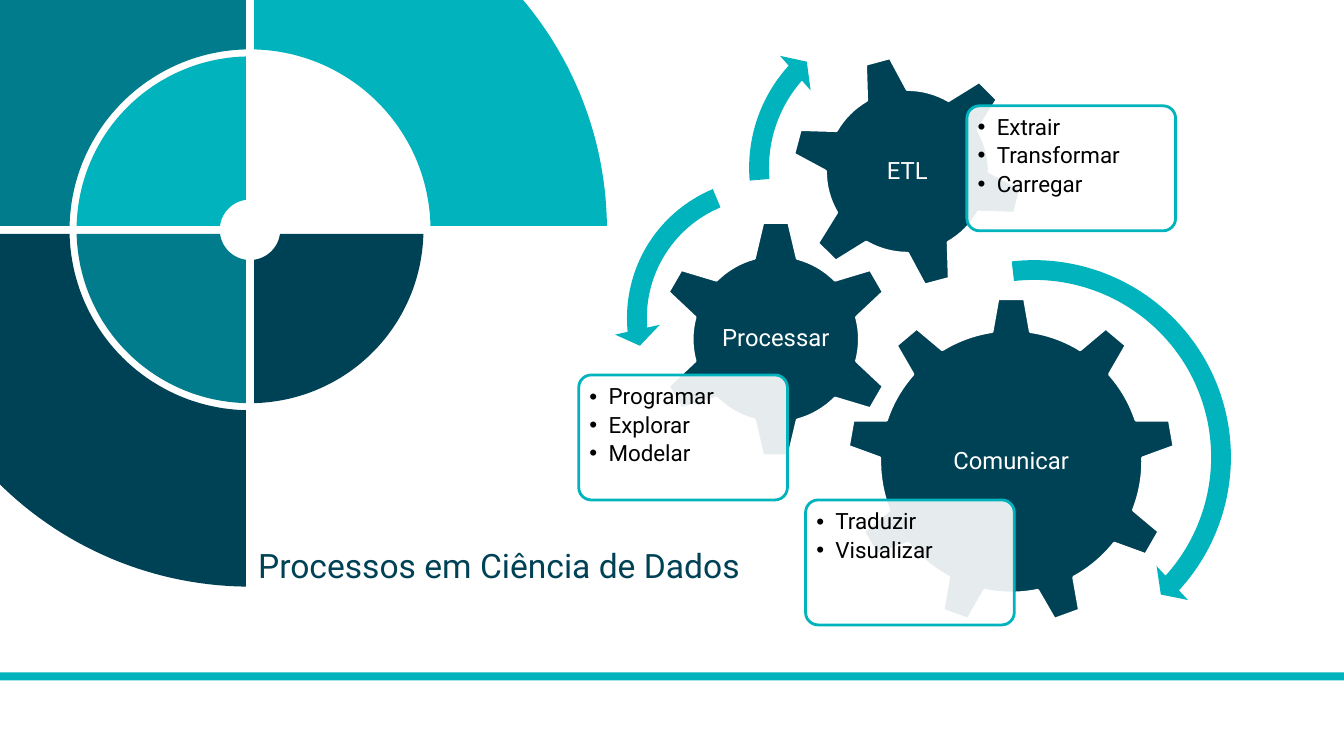
import math
from dataclasses import dataclass

import pptx
import pptx.dml.color
import pptx.enum.shapes
import pptx.enum.text
import pptx.oxml.ns
import pptx.util
from lxml import etree

Inches = pptx.util.Inches
Pt = pptx.util.Pt
RGBColor = pptx.dml.color.RGBColor
ShapeKind = pptx.enum.shapes.MSO_SHAPE
Anchor = pptx.enum.text.MSO_ANCHOR
Align = pptx.enum.text.PP_ALIGN
qn = pptx.oxml.ns.qn


@dataclass(frozen=True)
class Theme:
    navy: RGBColor = RGBColor(0x00, 0x42, 0x55)
    teal: RGBColor = RGBColor(0x00, 0x7C, 0x8C)
    aqua: RGBColor = RGBColor(0x00, 0xB3, 0xBD)
    white: RGBColor = RGBColor(0xFF, 0xFF, 0xFF)
    black: RGBColor = RGBColor(0x00, 0x00, 0x00)
    font: str = "Roboto"
    title_size: float = 24
    gear_size: float = 17
    card_size: float = 16
    outline: float = 2


THEME = Theme()


@dataclass(frozen=True)
class RingQuarter:
    """A quarter ring; right and down are +1 or -1 from the centre."""
    right: int
    down: int
    inner: float
    outer: float
    color: RGBColor


@dataclass(frozen=True)
class Stage:
    name: str
    kind: ShapeKind
    left: float
    top: float
    size: float
    rotation: float
    card_left: float
    card_top: float
    steps: tuple[str, ...]


@dataclass(frozen=True)
class CurvedArrow:
    """Thickness and head are percentages of the size, the rest degrees."""
    kind: ShapeKind
    left: float
    top: float
    size: float
    thickness: float
    head_sweep: float
    end: float
    start: float
    head: float


CENTER_X, CENTER_Y, HALF_GAP = 2.48, 2.28, 0.04
HUB, DISC, RING, RIM = 0.3, 1.72, 1.79, 3.54
CARD_WIDTH, CARD_HEIGHT = 2.07, 1.24
LABEL_WIDTH, LABEL_HEIGHT = 1.6, 0.5

QUARTERS = (
    RingQuarter(-1, 1, RING, RIM, THEME.navy),
    RingQuarter(-1, -1, RING, RIM, THEME.teal),
    RingQuarter(1, -1, RING, RIM, THEME.aqua),
    RingQuarter(-1, 1, HUB, DISC, THEME.teal),
    RingQuarter(1, 1, HUB, DISC, THEME.navy),
    RingQuarter(-1, -1, HUB, DISC, THEME.aqua),
)
STAGES = (
    Stage("Comunicar", ShapeKind.GEAR_9, 8.4, 2.95, 3.26, 0, 7.99, 4.96,
          ("Traduzir", "Visualizar")),
    Stage("Processar", ShapeKind.GEAR_6, 6.51, 2.18, 2.37, 0, 5.74, 3.72,
          ("Programar", "Explorar", "Modelar")),
    Stage("ETL", ShapeKind.GEAR_6, 7.84, 0.54, 2.32, 345, 9.59, 1.05,
          ("Extrair", "Transformar", "Carregar")),
)
ARROWS = (
    CurvedArrow(ShapeKind.CIRCULAR_ARROW, 8.17, 2.45, 4.17, 4.7, 4.98, 42.32, 263.54, 5.5),
    CurvedArrow(ShapeKind.LEFT_CIRCULAR_ARROW, 6.09, 1.64, 3.03, 6.5, 7.17, 174.82, 247.3, 7.5),
    CurvedArrow(ShapeKind.CIRCULAR_ARROW, 7.3, 0.03, 3.27, 6, 6.57, 221.9, 175.14, 7),
)


def paint(shape, fill: RGBColor, line: RGBColor | None = None) -> None:
    shape.shadow.inherit = False
    shape.fill.solid()
    shape.fill.fore_color.rgb = fill
    if line is None:
        shape.line.fill.background()
    else:
        shape.line.color.rgb = line
        shape.line.width = Pt(THEME.outline)


def add_box(slide, kind: ShapeKind, left: float, top: float, width: float, height: float):
    return slide.shapes.add_shape(kind, Inches(left), Inches(top), Inches(width), Inches(height))


def set_insets(text_frame, inset: float) -> None:
    text_frame.margin_left = text_frame.margin_right = Inches(inset)
    text_frame.margin_top = text_frame.margin_bottom = Inches(inset)


def format_runs(paragraph, size: float, color: RGBColor) -> None:
    for run in paragraph.runs:
        run.font.name = THEME.font
        run.font.size = Pt(size)
        run.font.color.rgb = color


def add_quarter(slide, quarter: RingQuarter) -> None:
    def arc(radius: float) -> list[tuple[int, int]]:
        first = math.asin(HALF_GAP / radius)
        sweep = math.pi / 2 - 2 * first
        angles = [first + sweep * step / 60 for step in range(61)]
        return [(Inches(CENTER_X + quarter.right * radius * math.cos(angle)),
                 Inches(CENTER_Y + quarter.down * radius * math.sin(angle)))
                for angle in angles]

    points = arc(quarter.outer) + arc(quarter.inner)[::-1]
    builder = slide.shapes.build_freeform(*points[0], scale=1.0)
    builder.add_line_segments(points[1:], close=True)
    paint(builder.convert_to_shape(), quarter.color)


def add_bullet(paragraph) -> None:
    properties = paragraph._p.get_or_add_pPr()
    properties.set("marL", str(Inches(0.19)))
    properties.set("indent", str(-Inches(0.19)))
    etree.SubElement(properties, qn("a:buFont")).set("typeface", "Arial")
    etree.SubElement(properties, qn("a:buChar")).set("char", "•")


def add_card(slide, stage: Stage) -> None:
    card = add_box(slide, ShapeKind.ROUNDED_RECTANGLE, stage.card_left, stage.card_top,
                   CARD_WIDTH, CARD_HEIGHT)
    card.adjustments[0] = 0.1
    paint(card, THEME.white, THEME.aqua)
    fill_color = card._element.spPr.find(qn("a:solidFill")).find(qn("a:srgbClr"))
    etree.SubElement(fill_color, qn("a:alpha")).set("val", "90000")

    text_frame = card.text_frame
    text_frame.word_wrap = True
    text_frame.vertical_anchor = Anchor.TOP
    set_insets(text_frame, 0.07)
    text_frame.text = "\n".join(stage.steps)
    for paragraph in text_frame.paragraphs:
        add_bullet(paragraph)
        paragraph.alignment = Align.LEFT
        paragraph.line_spacing = 0.9
        paragraph.space_after = Pt(2.8)
        format_runs(paragraph, THEME.card_size, THEME.black)


def add_stage(slide, stage: Stage) -> None:
    """Draw a gear, its upright label and its card of steps."""
    gear = add_box(slide, stage.kind, stage.left, stage.top, stage.size, stage.size)
    gear.rotation = stage.rotation
    paint(gear, THEME.navy, THEME.white)

    label = slide.shapes.add_textbox(
        Inches(stage.left + (stage.size - LABEL_WIDTH) / 2),
        Inches(stage.top + (stage.size - LABEL_HEIGHT) / 2),
        Inches(LABEL_WIDTH), Inches(LABEL_HEIGHT))
    text_frame = label.text_frame
    text_frame.word_wrap = True
    text_frame.vertical_anchor = Anchor.MIDDLE
    set_insets(text_frame, 0.02)
    text_frame.text = stage.name
    paragraph = text_frame.paragraphs[0]
    paragraph.alignment = Align.CENTER
    paragraph.line_spacing = 0.9
    format_runs(paragraph, THEME.gear_size, THEME.white)
    add_card(slide, stage)


def add_arrow(slide, arrow: CurvedArrow) -> None:
    shape = add_box(slide, arrow.kind, arrow.left, arrow.top, arrow.size, arrow.size)
    angles = [degrees * 0.6 for degrees in (arrow.head_sweep, arrow.end, arrow.start)]
    for index, value in enumerate([arrow.thickness / 100, *angles, arrow.head / 100]):
        shape.adjustments[index] = value
    paint(shape, THEME.aqua)


def set_title(slide, text: str) -> None:
    title = slide.shapes.title
    title.left, title.top = Inches(2.46), Inches(5.36)
    title.width, title.height = Inches(5.07), Inches(0.5)
    text_frame = title.text_frame
    text_frame.text = text
    text_frame.word_wrap = False
    text_frame.auto_size = pptx.enum.text.MSO_AUTO_SIZE.SHAPE_TO_FIT_TEXT
    text_frame.vertical_anchor = Anchor.TOP
    text_frame.paragraphs[0].alignment = Align.LEFT
    format_runs(text_frame.paragraphs[0], THEME.title_size, THEME.navy)


def main() -> None:
    presentation = pptx.Presentation()
    presentation.slide_width, presentation.slide_height = Inches(13.33), Inches(7.5)
    slide = presentation.slides.add_slide(presentation.slide_layouts.get_by_name("Title Only"))
    set_title(slide, "Processos em Ciência de Dados")
    for quarter in QUARTERS:
        add_quarter(slide, quarter)
    paint(add_box(slide, ShapeKind.RECTANGLE, 0, 6.67, 13.33, 0.08), THEME.aqua)
    for stage in STAGES:
        add_stage(slide, stage)
    for arrow in ARROWS:
        add_arrow(slide, arrow)
    presentation.save("out.pptx")


if __name__ == "__main__":
    main()
